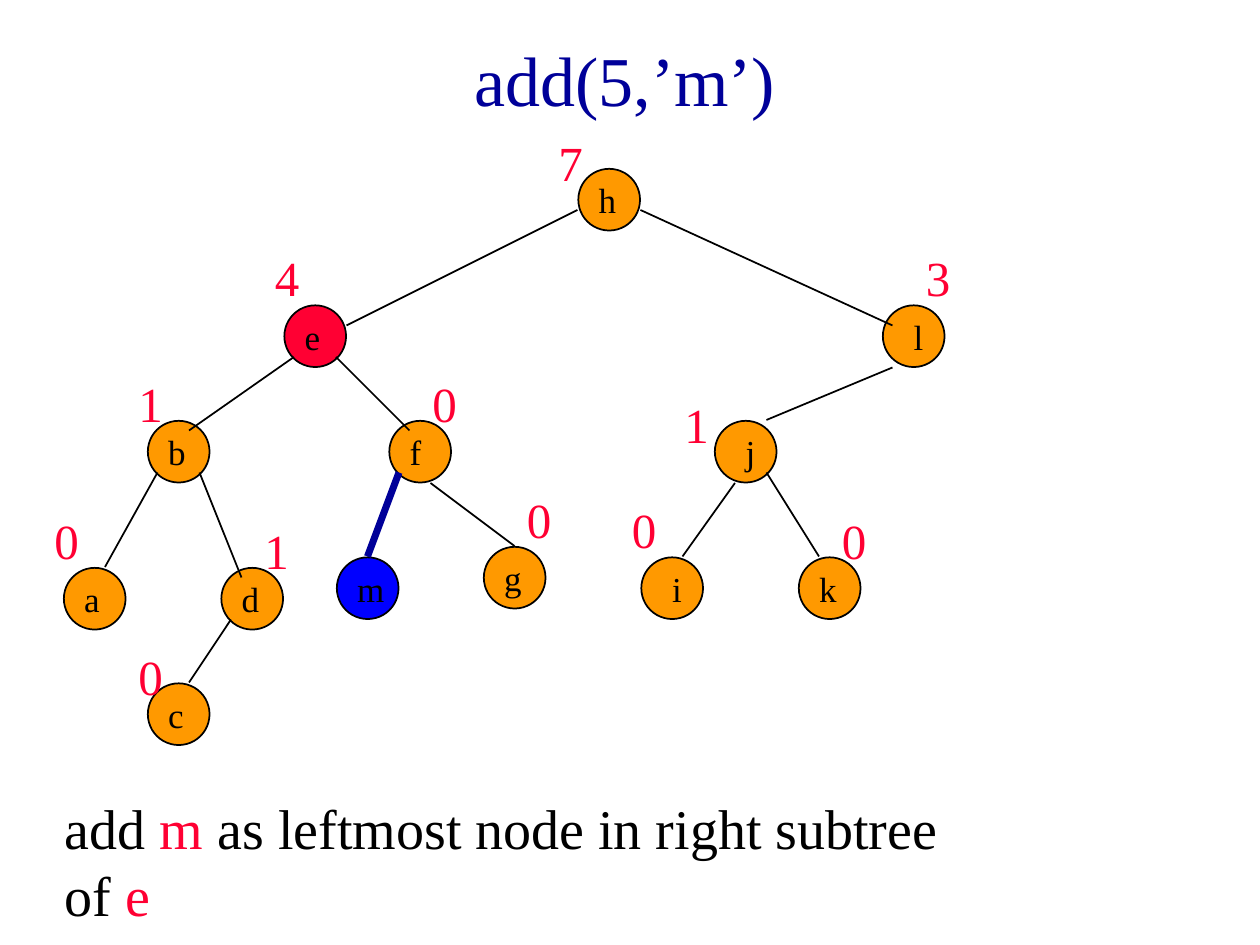
"""Build the slide that shows adding node m to an indexed binary tree."""
from lxml.etree import SubElement
from pptx import Presentation
from pptx.dml.color import RGBColor
from pptx.enum.shapes import MSO_CONNECTOR as Connector, MSO_SHAPE as Shape
from pptx.enum.text import MSO_ANCHOR as Anchor, MSO_AUTO_SIZE as AutoSize, PP_ALIGN as Align
from pptx.oxml.ns import qn
from pptx.util import Pt

FONT = "Times New Roman"
COLORS = {
    "title": "000099",
    "ink": "000000",
    "node": "FF9900",
    "accent": "FF0033",
    "added": "0000FF",
}
TITLE = "add(5,’m’)"
CAPTION = [
    ("add ", "ink"),
    ("m", "accent"),
    (" as leftmost node in right subtree of ", "ink"),
    ("e", "accent"),
]
NODES = {
    "h": (330, 96),
    "e": (162, 174),
    "l": (504, 174),
    "b": (84, 240),
    "f": (222, 240),
    "j": (408, 240),
    "a": (36, 324),
    "d": (126, 324),
    "i": (366, 318),
    "k": (456, 318),
    "c": (84, 390),
    "g": (276, 312),
    "m": (192, 318),
}
NODE_FILLS = {"e": "accent", "m": "added"}
EDGES = [
    (330, 120, 198, 186),
    (366, 120, 510, 186),
    (168, 204, 108, 246),
    (192, 204, 234, 246),
    (510, 210, 438, 240),
    (90, 270, 60, 324),
    (114, 270, 138, 330),
    (420, 276, 390, 318),
    (438, 270, 468, 318),
    (132, 354, 108, 390),
    (246, 276, 294, 312),
]
ADDED_EDGE = (228, 270, 210, 318)
RANKS = [
    ("7", 312, 72),
    ("4", 150, 138),
    ("3", 522, 138),
    ("1", 72, 210),
    ("0", 240, 210),
    ("1", 384, 222),
    ("0", 24, 288),
    ("1", 144, 294),
    ("0", 354, 282),
    ("0", 474, 288),
    ("0", 72, 366),
    ("0", 294, 276),
]
DIAMETER = 35.25
NODE_OFFSET = 0.5
LABEL_WIDTHS = {"f": 21, "l": 20, "j": 20, "i": 20, "m": 30}
NARROW_LETTERS = "lji"


def color(name):
    return RGBColor.from_string(COLORS[name])


def style(font, size, name):
    font.name = FONT
    font.size = Pt(size)
    font.color.rgb = color(name)


def add_text(page, left, top, width, height, spans, size, wrap=True):
    box = page.shapes.add_textbox(Pt(left), Pt(top), Pt(width), Pt(height))
    box.text_frame.word_wrap = wrap
    box.text_frame.auto_size = AutoSize.SHAPE_TO_FIT_TEXT
    para = box.text_frame.paragraphs[0]
    style(para.font, size, spans[0][1])
    for text, name in spans:
        span = para.add_run()
        span.text = text
        if len(spans) > 1:
            style(span.font, size, name)


def add_node(page, letter, left, top):
    node = page.shapes.add_shape(
        Shape.OVAL, Pt(left + NODE_OFFSET), Pt(top + NODE_OFFSET), Pt(DIAMETER), Pt(DIAMETER)
    )
    node.shadow.inherit = False
    node.fill.solid()
    node.fill.fore_color.rgb = color(NODE_FILLS.get(letter, "node"))
    node.line.color.rgb = color("ink")
    node.line.width = Pt(1)


def add_edge(page, points, name="ink", weight=1):
    edge = page.shapes.add_connector(Connector.STRAIGHT, *map(Pt, points))
    edge.line.color.rgb = color(name)
    edge.line.width = Pt(weight)
    SubElement(edge.element.spPr, qn("a:effectLst"))


def add_title(page):
    title = page.shapes.title
    title.left, title.top, title.width, title.height = map(Pt, (6, 0, 702, 90))
    title.text_frame.text = TITLE
    title.text_frame.auto_size = AutoSize.NONE
    title.text_frame.vertical_anchor = Anchor.MIDDLE
    para = title.text_frame.paragraphs[0]
    para.alignment = Align.CENTER
    style(para.font, 40, "title")


def main():
    deck = Presentation()
    deck.slide_width, deck.slide_height = Pt(720), Pt(540)
    page = deck.slides.add_slide(deck.slide_layouts[5])
    add_title(page)
    for letter, (left, top) in NODES.items():
        add_node(page, letter, left, top)
    for points in EDGES:
        add_edge(page, points)
    add_edge(page, ADDED_EDGE, "title", 4)
    for letter, (left, top) in NODES.items():
        indent = 11 if letter in NARROW_LETTERS else 5
        width = LABEL_WIDTHS.get(letter, 24.4)
        add_text(page, left + indent, top + 2.5, width, 31, [(letter, "ink")], 20, wrap=False)
    for rank, left, top in RANKS:
        add_text(page, left, top, 18, 41, [(rank, "accent")], 28)
    add_text(page, 30, 450, 522, 84, CAPTION, 32)
    deck.save("out.pptx")


if __name__ == "__main__":
    main()
